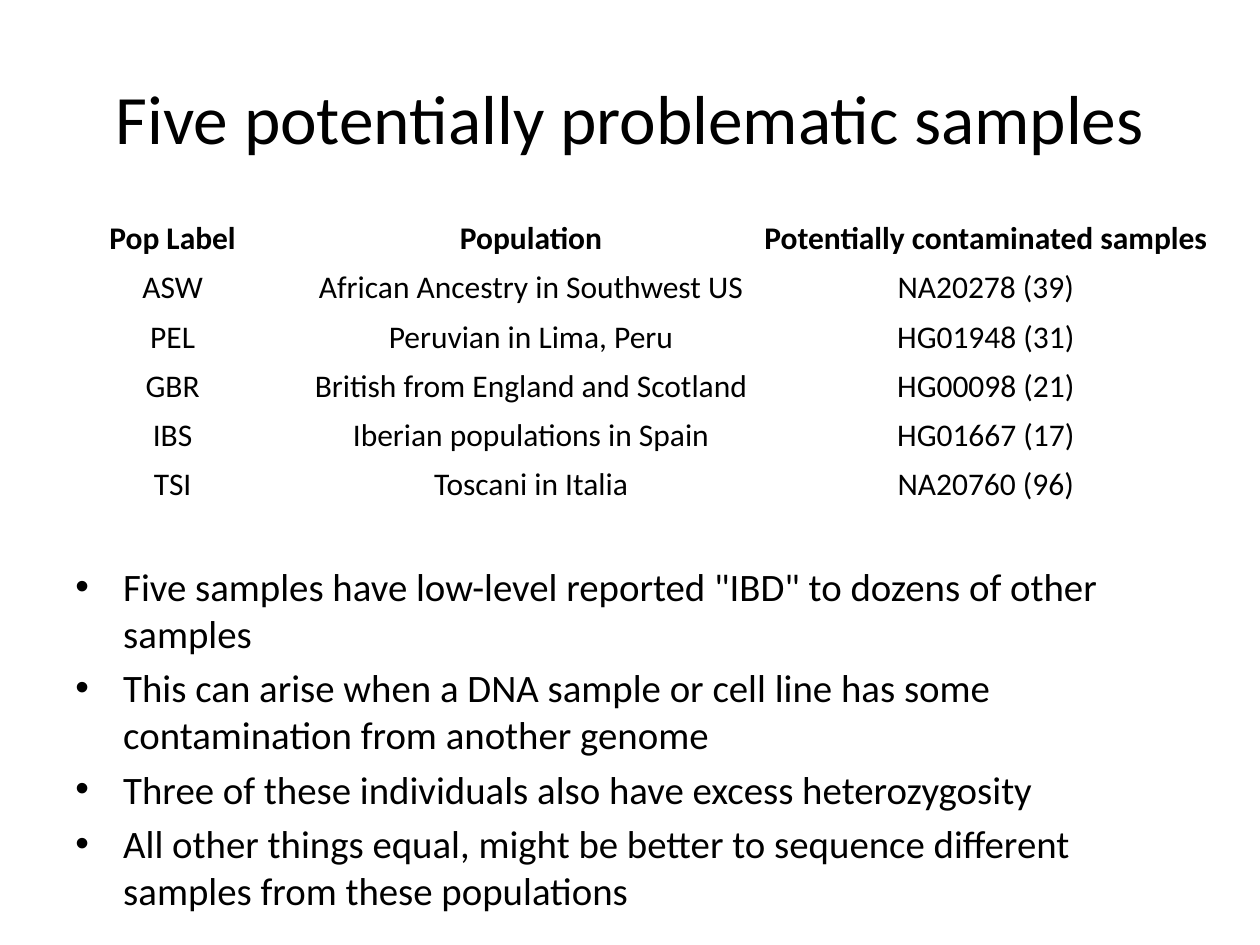
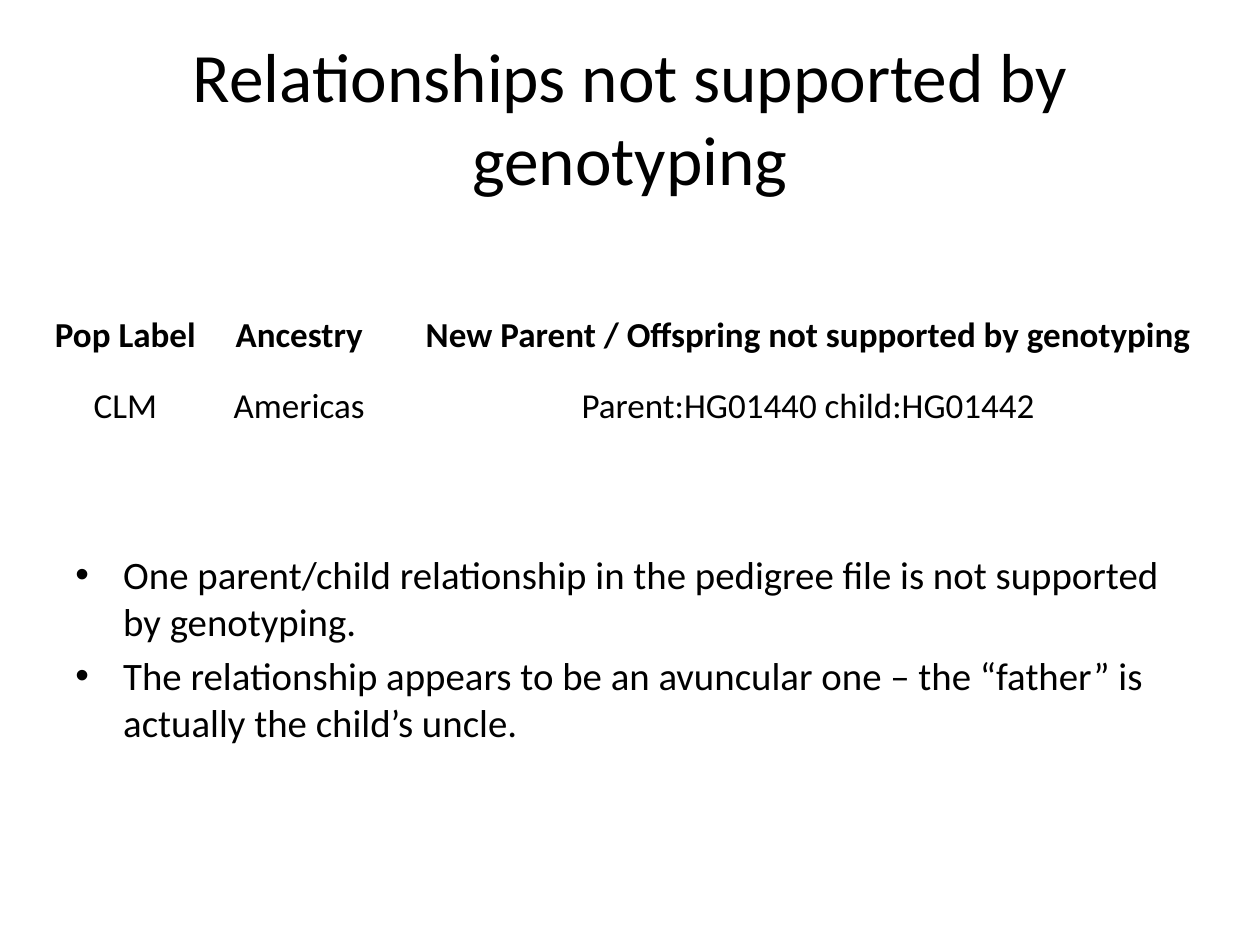
"""Build two slides on genotyping quality checks, each with a table and bullets."""
from lxml import etree
from pptx import Presentation
from pptx.dml.color import RGBColor
from pptx.enum.text import MSO_ANCHOR, MSO_AUTO_SIZE, PP_ALIGN
from pptx.oxml.ns import qn
from pptx.util import Inches, Pt

CENTER, LEFT = PP_ALIGN.CENTER, PP_ALIGN.LEFT
MIDDLE, BOTTOM = MSO_ANCHOR.MIDDLE, MSO_ANCHOR.BOTTOM
NO_AUTOFIT = MSO_AUTO_SIZE.NONE
TITLE_ONLY = 5
FONT, INK = "Calibri", "000000"
TITLE_SIZE, BODY_SIZE = 39.6, 22.2
MARGIN, CONTENT_WIDTH = 0.5, 9
INDENT = 0.38

SLIDES = [
    {
        "title": "Five potentially problematic samples",
        "table_at": (0.33, 1.66),
        "columns": [2.08, 3.61, 3.61],
        "row_height": 0.39,
        "table_size": 18,
        "rows": [
            ("Pop Label", "Population", "Potentially contaminated samples"),
            ("ASW", "African Ancestry in Southwest US", "NA20278 (39)"),
            ("PEL", "Peruvian in Lima, Peru", "HG01948 (31)"),
            ("GBR", "British from England and Scotland", "HG00098 (21)"),
            ("IBS", "Iberian populations in Spain", "HG01667 (17)"),
            ("TSI", "Toscani in Italia", "NA20760 (96)"),
        ],
        "bullets_top": 4.42,
        "bullets_height": 2.83,
        "bullets": [
            'Five samples have low-level reported "IBD" to dozens of other samples',
            "This can arise when a DNA sample or cell line has some contamination from another genome",
            "Three of these individuals also have excess heterozygosity",
            "All other things equal, might be better to sequence different samples from these populations",
        ],
    },
    {
        "title": "Relationships not supported by genotyping",
        "table_at": (0.3, 2.26),
        "columns": [1.39, 1.37, 6.71],
        "row_height": 0.57,
        "table_size": 20,
        "rows": [
            ("Pop Label", "Ancestry", "New Parent / Offspring not supported by genotyping"),
            ("CLM", "Americas", "Parent:HG01440 child:HG01442"),
        ],
        "bullets_top": 4.32,
        "bullets_height": 1.39,
        "bullets": [
            "One parent/child relationship in the pedigree file is not supported by genotyping.",
            "The relationship appears to be an avuncular one – the “father” is actually the child’s uncle.",
        ],
    },
]


def style(paragraph, size, align, bold=False, color=INK):
    paragraph.alignment = align
    font = paragraph.font
    font.name, font.size, font.bold = FONT, Pt(size), bold
    font.color.rgb = RGBColor.from_string(color)


deck = Presentation()
deck.slide_width, deck.slide_height = Inches(10), Inches(7.5)

for content in SLIDES:
    page = deck.slides.add_slide(deck.slide_layouts[TITLE_ONLY])
    title = page.shapes.title
    title.left, title.top = Inches(MARGIN), Inches(0.3)
    title.width, title.height = Inches(CONTENT_WIDTH), Inches(1.25)
    title.text_frame.text = content["title"]
    title.text_frame.auto_size = NO_AUTOFIT
    title.text_frame.vertical_anchor = MIDDLE
    style(title.text_frame.paragraphs[0], TITLE_SIZE, CENTER)

    box = page.shapes.add_textbox(
        Inches(MARGIN), Inches(content["bullets_top"]),
        Inches(CONTENT_WIDTH), Inches(content["bullets_height"]))
    frame = box.text_frame
    frame.word_wrap = True
    for index, bullet in enumerate(content["bullets"]):
        para = frame.add_paragraph() if index else frame.paragraphs[0]
        para.text = bullet
        properties = para._p.get_or_add_pPr()
        properties.set("marL", str(Inches(INDENT)))
        properties.set("indent", str(-Inches(INDENT)))
        etree.SubElement(properties, qn("a:buFont"), typeface="Arial")
        etree.SubElement(properties, qn("a:buChar"), char="•")
        para.space_before = Pt(0.2 * BODY_SIZE if index else 0)
        style(para, BODY_SIZE, LEFT)

    rows, columns = content["rows"], content["columns"]
    left, top = content["table_at"]
    table = page.shapes.add_table(
        len(rows), len(columns), Inches(left), Inches(top),
        Inches(sum(columns)), Inches(content["row_height"] * len(rows))).table
    table.first_row = table.horz_banding = False
    for column, width in zip(table.columns, columns):
        column.width = Inches(width)
    for row_index, row in enumerate(rows):
        table.rows[row_index].height = Inches(content["row_height"])
        for column_index, text in enumerate(row):
            cell = table.cell(row_index, column_index)
            cell.text = text
            cell.fill.background()
            cell.vertical_anchor = BOTTOM
            cell.margin_left = cell.margin_right = cell.margin_top = Inches(0.01)
            cell.margin_bottom = 0
            style(cell.text_frame.paragraphs[0], content["table_size"], CENTER, bold=row_index == 0)

deck.save("out.pptx")
